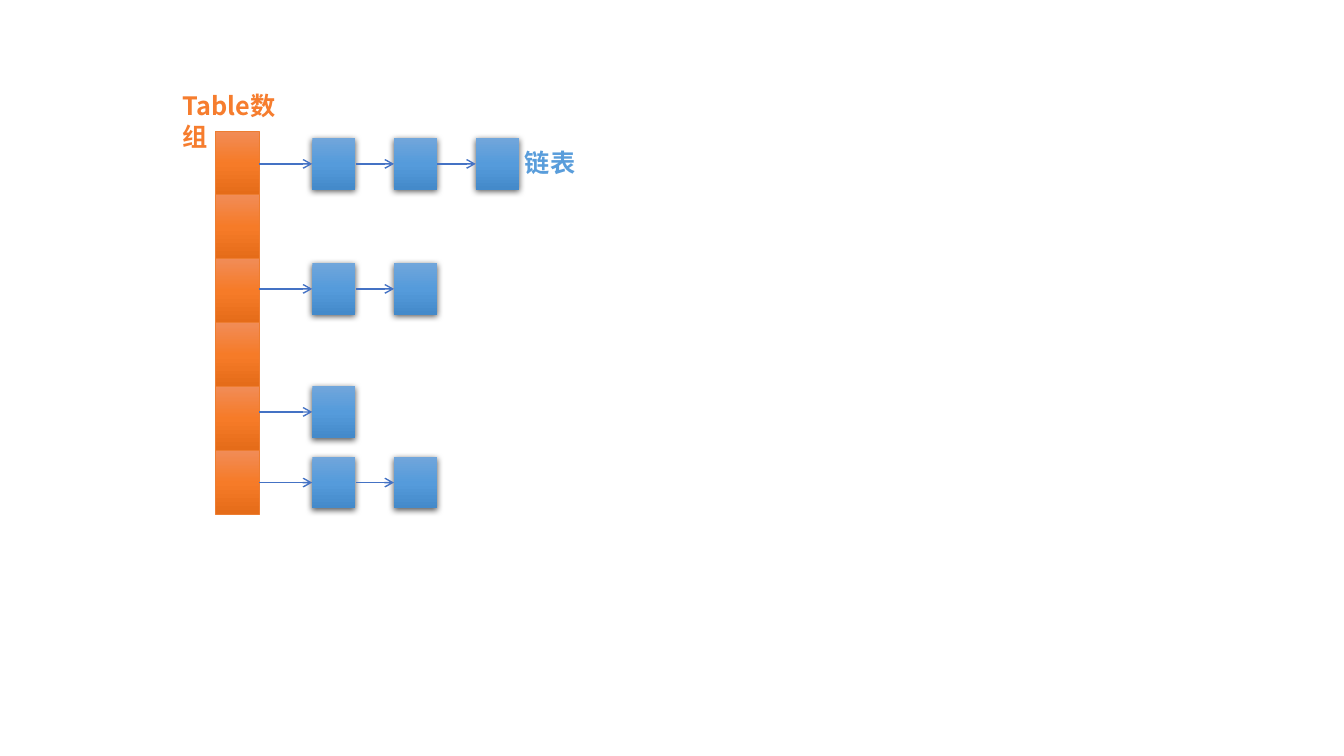
"""Draws a hash table: an array whose cells lead to linked lists."""
from copy import deepcopy

from lxml import etree
from pptx import Presentation
from pptx import util as u
from pptx.dml.color import RGBColor
from pptx.enum import shapes, text
from pptx.oxml.ns import qn

FONT = "Noto Sans CJK SC"
COLORS = {
    "array": ("F18C57", "F67B28", "E56C19"),
    "node": ("71A6DB", "559BDB", "448ACA"),
    "edge": "ED7D31",
    "arrow": "4472C4",
    "table": "F67D2E",
    "list": "599DDB",
    "shade": "000000",
}
WIDE = 1.09
CELL = 1.61
NODE = 1.3
STEP = 2.06
LISTS = ((3.48, 3), (6.63, 2), (9.73, 1), (11.51, 2))


def rgb(name):
    return RGBColor.from_string(COLORS[name])


def add_text(slide, words, left, top, width, height, color, size=18, bold=True):
    box = slide.shapes.add_textbox(*map(u.Cm, (left, top, width, height)))
    frame = box.text_frame
    frame.word_wrap = True
    frame.auto_size = text.MSO_AUTO_SIZE.NONE
    run = frame.paragraphs[0].add_run()
    run.text = words
    font = run.font
    font.size, font.bold, font.name = u.Pt(size), bold, FONT
    font.color.rgb = rgb(color)
    east = etree.SubElement(run._r.get_or_add_rPr(), qn("a:ea"))
    east.set("typeface", FONT)


def add_box(slide, left, top, height, kind):
    box = slide.shapes.add_shape(
        shapes.MSO_SHAPE.RECTANGLE, *map(u.Cm, (left, top, WIDE, height)))
    box.shadow.inherit = False
    fill = box.fill
    fill.gradient()
    fill.gradient_angle = 270
    stops = box._element.spPr.find(qn("a:gradFill")).find(qn("a:gsLst"))
    stops.append(deepcopy(stops[-1]))
    for stop, shade, place in zip(fill.gradient_stops, COLORS[kind], (0, 0.5, 1)):
        stop.color.rgb = RGBColor.from_string(shade)
        stop.position = place
    return box


def add_shade(box):
    effects = box._element.spPr.find(qn("a:effectLst"))
    shade = etree.SubElement(
        effects, qn("a:outerShdw"), blurRad=str(u.Pt(4.5)),
        dist=str(u.Pt(1.5)), dir="5400000", algn="ctr", rotWithShape="0")
    color = etree.SubElement(shade, qn("a:srgbClr"), val=COLORS["shade"])
    etree.SubElement(color, qn("a:alpha"), val="63000")


def add_arrow(slide, start, end, y):
    arrow = slide.shapes.add_connector(
        shapes.MSO_CONNECTOR.STRAIGHT, *map(u.Cm, (start, y, end, y)))
    arrow.line.color.rgb = rgb("arrow")
    arrow.line.width = u.Pt(1)
    etree.SubElement(arrow.line._get_or_add_ln(), qn("a:tailEnd"), type="arrow")
    etree.SubElement(arrow._element.spPr, qn("a:effectLst"))


def add_array(slide, left, top, count):
    for row in range(count):
        box = add_box(slide, left, top + row * CELL, CELL, "array")
        box.line.color.rgb = rgb("edge")
        box.line.width = u.Pt(0.5)


def add_list(slide, left, top, count, start):
    for col in range(count):
        x = left + col * STEP
        box = add_box(slide, x, top, NODE, "node")
        box.line.fill.background()
        add_shade(box)
        add_arrow(slide, start, x, top + NODE / 2)
        start = x + WIDE


def main():
    deck = Presentation()
    deck.slide_width, deck.slide_height = u.Cm(33.87), u.Cm(19.05)
    slide = deck.slides.add_slide(deck.slide_layouts[6])
    left = 5.44
    add_array(slide, left, 3.3, 6)
    for top, count in LISTS:
        add_list(slide, 7.87, top, count, left + WIDE)
    add_text(slide, "Table数组", 4.35, 2.16, 3.38, 1.03, "table")
    add_text(slide, "链表", 12.98, 3.58, 1.81, 1.03, "list")
    deck.save("out.pptx")


if __name__ == "__main__":
    main()
